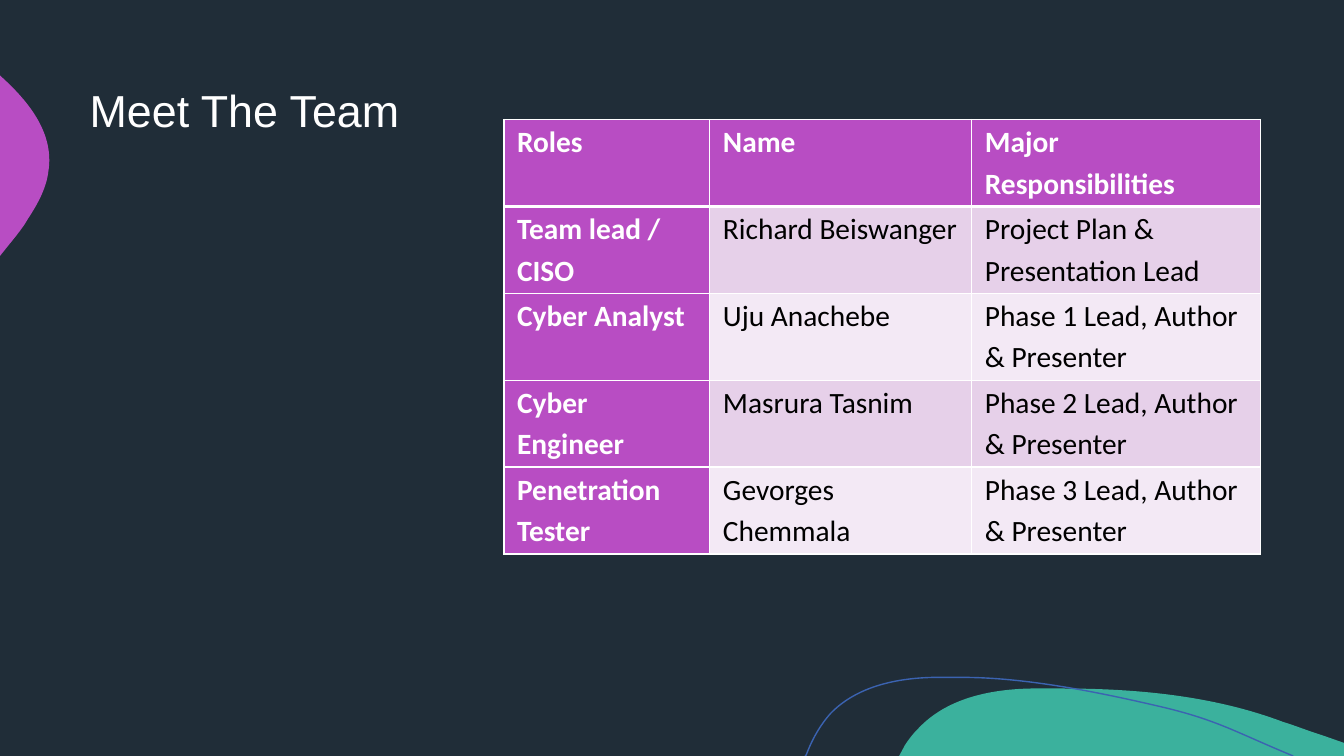
from lxml import etree
from pptx import Presentation
from pptx import util as u
from pptx.dml.color import RGBColor
from pptx.enum import text
from pptx.oxml.ns import qn

# Content
TITLE = "Meet The Team"
TEAM = [
    ("Roles", "Name", "Major Responsibilities"),
    ("Team lead / CISO", "Richard Beiswanger", "Project Plan & Presentation Lead"),
    ("Cyber Analyst", "Uju Anachebe", "Phase 1 Lead, Author & Presenter"),
    ("Cyber Engineer", "Masrura Tasnim", "Phase 2 Lead, Author & Presenter"),
    ("Penetration Tester", "Gevorges Chemmala", "Phase 3 Lead, Author & Presenter"),
]
COLORS = {
    "background": "202D38", "green": "3BB19D", "purple": "B84DC3", "blue": "3B63B1",
    "band_dark": "E6D0E9", "band_light": "F3E9F5", "white": "FFFFFF", "black": "000000",
}

# Outlines in cm: a pair of numbers is a straight step, six numbers a cubic curve
GREEN_HILL = [
    (26.77, 17.35), (28.65, 17.35, 30.58, 17.53, 32.33, 18.19),
    (32.66, 18.29, 32.97, 18.42, 33.3, 18.52), (33.87, 18.72), (33.87, 19.05),
    (22.66, 19.05), (22.81, 18.77), (22.91, 18.62, 23.01, 18.49, 23.14, 18.36),
    (23.85, 17.6, 24.94, 17.37, 25.98, 17.35), (26.24, 17.35, 26.52, 17.35, 26.77, 17.35),
]
PURPLE_BUMP = [
    (0, 1.9), (0.03, 1.93), (0.76, 2.59, 1.37, 3.38, 1.22, 4.32),
    (1.17, 4.75, 0.94, 5.16, 0.69, 5.54), (0.61, 5.69, 0.43, 5.92, 0.2, 6.2), (0, 6.45),
]
BLUE_WAVE = [
    (20.29, 19.05), (20.32, 19.02), (20.47, 18.62, 20.68, 18.26, 20.93, 17.98),
    (21.59, 17.3, 22.58, 17.09, 23.52, 17.07), (24.26, 17.07),
    (25.96, 17.07, 27.94, 17.5, 29.34, 17.83), (30.71, 18.16, 31.14, 18.45, 32.59, 19.05),
]

# Table layout in cm
TABLE_LEFT, TABLE_TOP, ROW_HEIGHT = 12.7, 3.01, 2.19
COLUMN_WIDTHS = (5.19, 6.6, 7.27)
CELL_INSET = 0.33


def rgb(color):
    return RGBColor.from_string(COLORS[color])


def write(frame, words, *, font, size, color, bold=False, spacing=1.0):
    frame.word_wrap = True
    paragraph = frame.paragraphs[0]
    paragraph.line_spacing = spacing
    paragraph.alignment = text.PP_ALIGN.LEFT
    run = paragraph.add_run()
    run.text = words
    run.font.name, run.font.size, run.font.bold = font, u.Pt(size), bold
    run.font.color.rgb = rgb(color)


def bend(blob, steps):
    """Turn each straight step that has control points into a cubic curve."""
    for segment, step in zip(list(blob._element.iter(qn("a:lnTo"))), steps):
        if len(step) == 6:
            segment.tag = qn("a:cubicBezTo")
            for position, (x, y) in enumerate((step[:2], step[2:4])):
                control = etree.Element(qn("a:pt"), x=str(u.Cm(x) - blob.left),
                                        y=str(u.Cm(y) - blob.top))
                segment.insert(position, control)


def draw(outline, *, fill=None, line=None):
    start, *ends = [(u.Cm(step[-2]), u.Cm(step[-1])) for step in outline]
    builder = slide.shapes.build_freeform(*start)
    builder.add_line_segments(ends, close=fill is not None)
    blob = builder.convert_to_shape()
    bend(blob, outline[1:])
    blob.shadow.inherit = False
    if fill:
        blob.fill.solid()
        blob.fill.fore_color.rgb = rgb(fill)
        blob.line.fill.background()
    else:
        blob.fill.background()
        blob.line.color.rgb = rgb(line)
        blob.line.width = u.Pt(1)


def set_borders(cell, **widths):
    properties = cell._tc.get_or_add_tcPr()
    for position, side in enumerate("LRTB"):
        border = etree.Element(qn(f"a:ln{side}"), w=str(u.Pt(widths.get(side, 1))))
        solid = etree.SubElement(border, qn("a:solidFill"))
        etree.SubElement(solid, qn("a:srgbClr"), val=COLORS["white"])
        properties.insert(position, border)


prs = Presentation()
prs.slide_width, prs.slide_height = u.Cm(33.87), u.Cm(19.05)
slide = prs.slides.add_slide(prs.slide_layouts[6])
slide.background.fill.solid()
slide.background.fill.fore_color.rgb = rgb("background")

# Decoration
draw(GREEN_HILL, fill="green")
draw(PURPLE_BUMP, fill="purple")
draw(BLUE_WAVE, line="blue")

# Title
title = slide.shapes.add_textbox(u.Cm(2.01), u.Cm(2.12), u.Cm(10), u.Cm(6.35))
write(title.text_frame, TITLE, font="Arial", size=32, color="white", spacing=0.9)

# Team table
team = slide.shapes.add_table(
    len(TEAM), len(COLUMN_WIDTHS), u.Cm(TABLE_LEFT), u.Cm(TABLE_TOP),
    u.Cm(sum(COLUMN_WIDTHS)), u.Cm(ROW_HEIGHT * len(TEAM))).table
team.horz_banding = False
team.first_col = True
for column, width in zip(team.columns, COLUMN_WIDTHS):
    column.width = u.Cm(width)
for r, member in enumerate(TEAM):
    team.rows[r].height = u.Cm(ROW_HEIGHT)
    for c, words in enumerate(member):
        cell = team.cell(r, c)
        heading = r == 0 or c == 0
        cell.margin_left = cell.margin_right = u.Cm(CELL_INSET)
        cell.margin_top = cell.margin_bottom = 0
        cell.fill.solid()
        cell.fill.fore_color.rgb = rgb(
            "purple" if heading else "band_dark" if r % 2 else "band_light")
        set_borders(cell, T=3 if r == 1 else 1, B=3 if r == 0 else 1)
        write(cell.text_frame, words, font="Calibri", size=21, bold=heading,
              color="white" if heading else "black", spacing=1.15)

prs.save("out.pptx")
